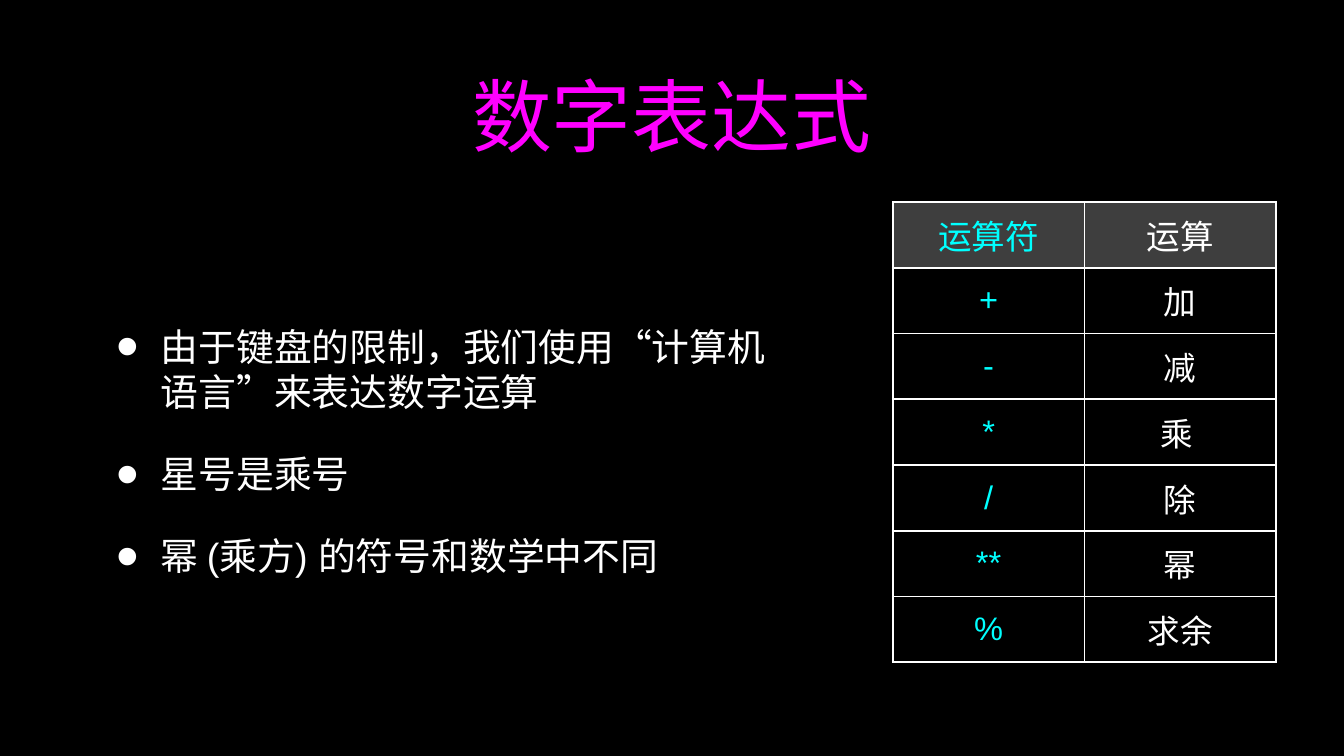
"""Build a slide on numeric expressions with a table of operators."""
from lxml.etree import SubElement
from pptx import Presentation
from pptx.dml.color import RGBColor
from pptx.enum.text import MSO_ANCHOR as Anchor, PP_ALIGN as Align
from pptx.oxml.ns import qn
from pptx.util import Pt

COLORS = {"background": "000000", "title": "FF00FF", "text": "FFFFFF",
          "operator": "00FFFF", "header": "7F7F7F"}
INSET = Pt(3)
BULLETS = ["由于键盘的限制，我们使用“计算机语言”来表达数字运算",
           "星号是乘号", "幂 (乘方) 的符号和数学中不同"]
OPERATIONS = [("运算符", "运算"), ("+", "加"), ("-", "减"), ("*", "乘 "),
              ("/", "除"), ("**", "幂"), ("%", "求余")]


def set_font(paragraph, size, color):
    paragraph.font.name = "Arial"
    paragraph.font.size = Pt(size)
    paragraph.font.color.rgb = RGBColor.from_string(COLORS[color])


def add_text_frame(left, top, width, height):
    frame = slide.shapes.add_textbox(Pt(left), Pt(top), Pt(width), Pt(height)).text_frame
    frame.word_wrap = True
    frame.vertical_anchor = Anchor.MIDDLE
    frame.margin_left = frame.margin_right = INSET
    frame.margin_top = frame.margin_bottom = INSET
    return frame


presentation = Presentation()
presentation.slide_width, presentation.slide_height = Pt(1280), Pt(720)
slide = presentation.slides.add_slide(presentation.slide_layouts[6])
slide.background.fill.solid()
slide.background.fill.fore_color.rgb = RGBColor.from_string(COLORS["background"])

title = add_text_frame(91, 19, 1097, 181).paragraphs[0]
title.text = "数字表达式"
title.alignment = Align.CENTER
set_font(title, 76, "title")

body = add_text_frame(91, 205, 654, 449)
for index, text in enumerate(BULLETS):
    paragraph = body.add_paragraph() if index else body.paragraphs[0]
    paragraph.text = text
    set_font(paragraph, 36, "text")
    paragraph.space_before = Pt(35 if index else 0)
    properties = paragraph._p.get_or_add_pPr()
    properties.set("marL", str(Pt(59)))
    properties.set("indent", str(Pt(-42)))
    bullet_color = SubElement(properties, qn("a:buClr"))
    SubElement(bullet_color, qn("a:srgbClr"), val=COLORS["text"])
    SubElement(properties, qn("a:buSzPct"), val="171000")
    SubElement(properties, qn("a:buFont"), typeface="Arial")
    SubElement(properties, qn("a:buChar"), char="•")

column_width, row_height = Pt(182.5), Pt(62.6)
table = slide.shapes.add_table(len(OPERATIONS), 2, Pt(850.3), Pt(192.5), column_width * 2,
                               row_height * len(OPERATIONS)).table
table.first_row = table.horz_banding = False
for column in table.columns:
    column.width = column_width

for row_index, labels in enumerate(OPERATIONS):
    table.rows[row_index].height = row_height
    for column_index, label in enumerate(labels):
        cell = table.cell(row_index, column_index)
        cell.vertical_anchor = Anchor.MIDDLE
        cell.margin_left = cell.margin_right = INSET
        cell.margin_top = cell.margin_bottom = INSET
        paragraph = cell.text_frame.paragraphs[0]
        paragraph.text = label
        paragraph.alignment = Align.CENTER
        set_font(paragraph, 31 if row_index else 32, "text" if column_index else "operator")
        properties = cell._tc.get_or_add_tcPr()
        for side in ("L", "R", "T", "B"):
            border = SubElement(properties, qn(f"a:ln{side}"), w=str(Pt(2)))
            border_fill = SubElement(border, qn("a:solidFill"))
            SubElement(border_fill, qn("a:srgbClr"), val=COLORS["text"])
        if row_index:
            cell.fill.background()
        else:
            cell.fill.solid()
            cell.fill.fore_color.rgb = RGBColor.from_string(COLORS["header"])
            header_color = properties.find(qn("a:solidFill")).find(qn("a:srgbClr"))
            SubElement(header_color, qn("a:alpha"), val="49000")

presentation.save("out.pptx")
